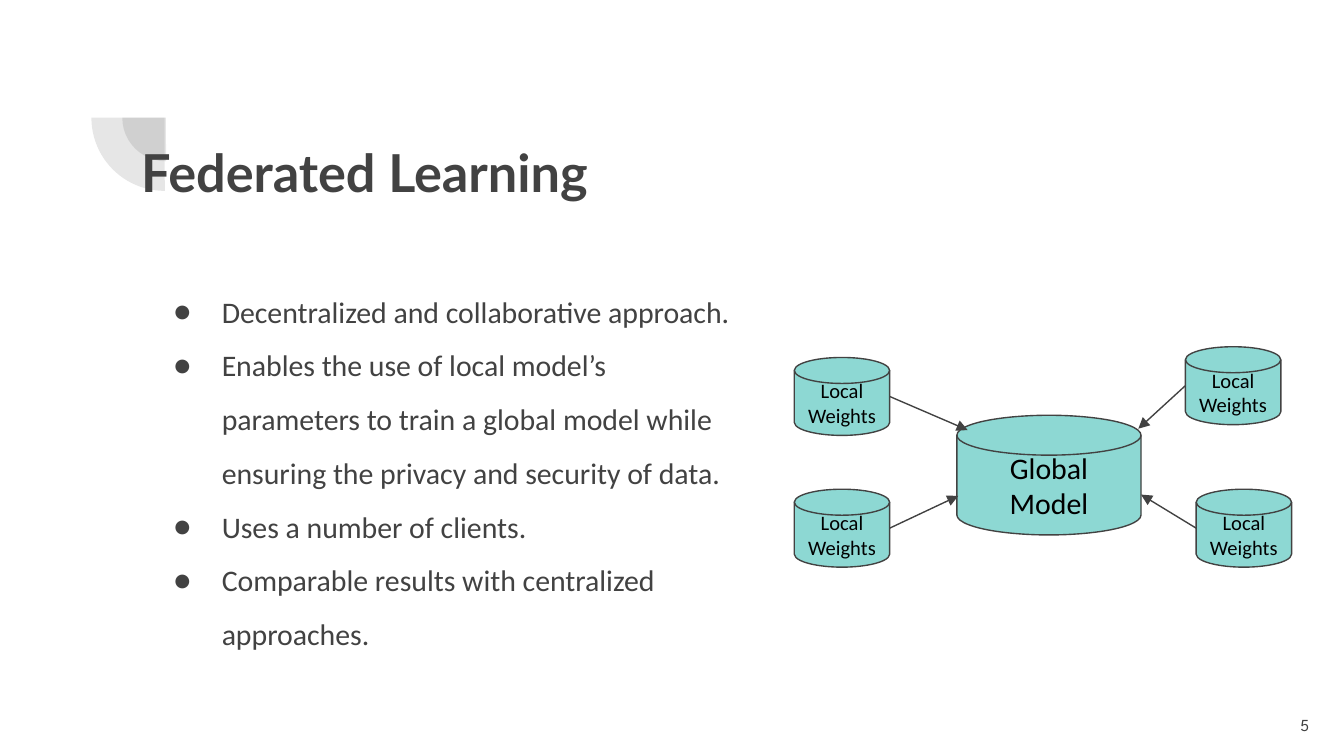
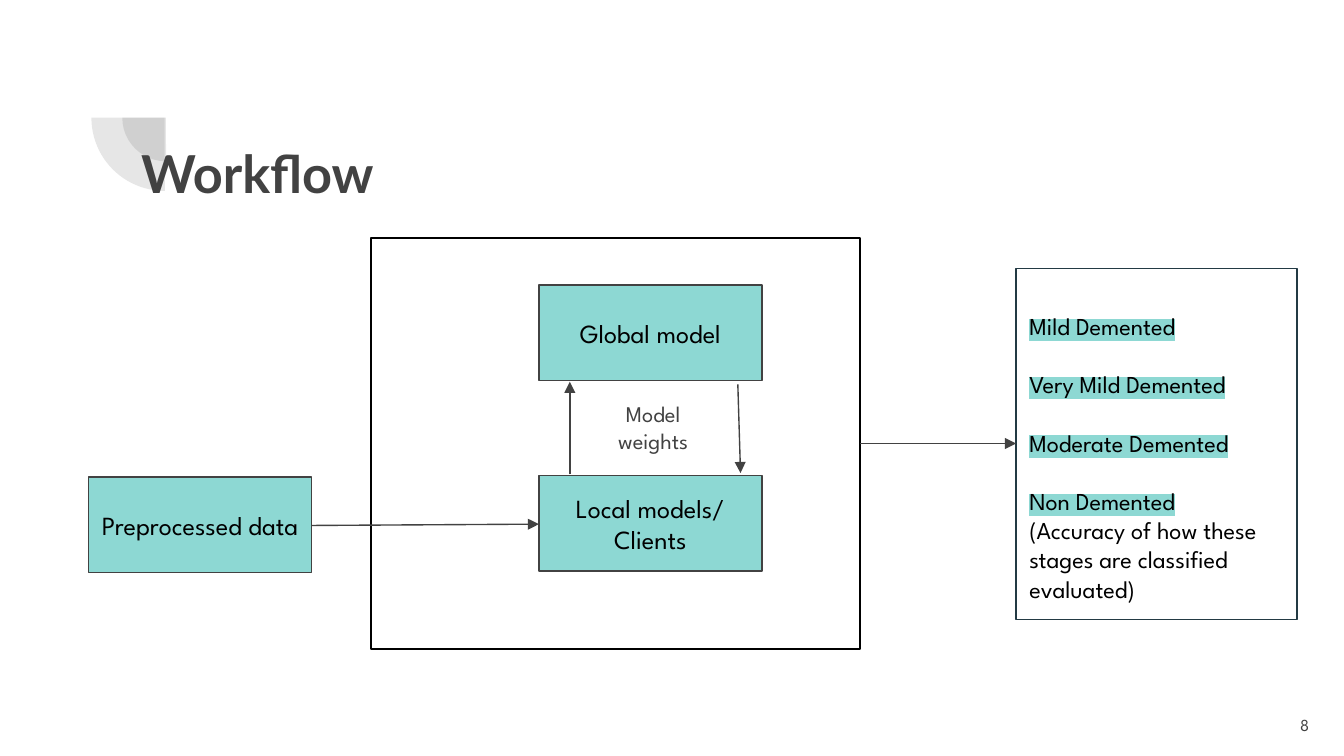
from dataclasses import dataclass

from lxml import etree
from pptx import Presentation
from pptx.dml import color as dml
from pptx.enum import shapes as kinds
from pptx.enum import text as text_enum
from pptx.oxml import ns
from pptx.util import Inches, Pt

# Shared look
INK = "424242"
TEAL = "8DD8D3"
BLACK = "000000"
WHITE = "FFFFFF"
NAVY = "233A44"
TITLE_FONT = "Lato"
BODY_FONT = "Calibri"
DIAGRAM_FONT = "League Spartan"
INSET = 0.1
LINE_WIDTH = 0.75

ALIGN = text_enum.PP_ALIGN
ANCHOR = text_enum.MSO_ANCHOR
SHAPE = kinds.MSO_SHAPE


@dataclass
class Area:
    left: float
    top: float
    width: float
    height: float

    def lengths(self) -> tuple:
        return tuple(Inches(v) for v in (self.left, self.top, self.width, self.height))


@dataclass
class TextStyle:
    font: str
    size: float
    color: str = BLACK
    bold: bool = False
    highlight: str = ""


@dataclass
class Node:
    area: Area
    label: str
    style: TextStyle
    kind: int = SHAPE.RECTANGLE


@dataclass
class Arrow:
    start: tuple[float, float]
    end: tuple[float, float]


TITLE_STYLE = TextStyle(TITLE_FONT, 28, INK, bold=True)
NUMBER_STYLE = TextStyle(DIAGRAM_FONT, 9, INK)
BULLET_STYLE = TextStyle(BODY_FONT, 16, INK)
GLOBAL_STYLE = TextStyle(BODY_FONT, 16)
LOCAL_STYLE = TextStyle(BODY_FONT, 11)
STEP_STYLE = TextStyle(DIAGRAM_FONT, 14)
WEIGHTS_STYLE = TextStyle(DIAGRAM_FONT, 12, INK)
STAGE_STYLE = TextStyle(DIAGRAM_FONT, 13, highlight=TEAL)
NOTE_STYLE = TextStyle(DIAGRAM_FONT, 13)


# Helpers
def rgb(value: str) -> dml.RGBColor:
    return dml.RGBColor.from_string(value)


def add_tag(parent, tag: str, **attributes: str):
    return etree.SubElement(parent, ns.qn(tag), attributes)


def prepare_frame(shape, anchor=ANCHOR.TOP):
    frame = shape.text_frame
    frame.word_wrap = True
    frame.auto_size = text_enum.MSO_AUTO_SIZE.NONE
    frame.vertical_anchor = anchor
    frame.margin_left = frame.margin_right = Inches(INSET)
    frame.margin_top = frame.margin_bottom = Inches(INSET)
    return frame


def write(paragraph, content: str, style: TextStyle, align=ALIGN.LEFT,
          spacing: float = 1.0) -> None:
    paragraph.alignment = align
    paragraph.line_spacing = spacing
    paragraph.space_before = Pt(0)
    run = paragraph.add_run()
    run.text = content
    run.font.name = style.font
    run.font.size = Pt(style.size)
    run.font.bold = style.bold
    run.font.color.rgb = rgb(style.color)
    if style.highlight:
        mark = etree.Element(ns.qn("a:highlight"))
        add_tag(mark, "a:srgbClr", val=style.highlight)
        # The highlight must follow the text fill
        run._r.rPr.find(ns.qn("a:solidFill")).addnext(mark)


def paragraphs_for(frame, count: int) -> list:
    return [frame.paragraphs[0]] + [frame.add_paragraph() for _ in range(count - 1)]


def place(shape, area: Area) -> None:
    shape.left, shape.top, shape.width, shape.height = area.lengths()


def add_box(slide, area: Area, fill: str = "", line: str = INK,
            kind=SHAPE.RECTANGLE):
    shape = slide.shapes.add_shape(kind, *area.lengths())
    shape.shadow.inherit = False
    if fill:
        shape.fill.solid()
        shape.fill.fore_color.rgb = rgb(fill)
    else:
        shape.fill.background()
    shape.line.color.rgb = rgb(line)
    shape.line.width = Pt(LINE_WIDTH)
    return shape


def add_node(slide, node: Node) -> None:
    shape = add_box(slide, node.area, TEAL, kind=node.kind)
    frame = prepare_frame(shape, ANCHOR.MIDDLE)
    write(frame.paragraphs[0], node.label, node.style, ALIGN.CENTER)


def add_label(slide, area: Area, content: str, style: TextStyle, align,
              anchor=ANCHOR.TOP) -> None:
    frame = prepare_frame(slide.shapes.add_textbox(*area.lengths()), anchor)
    write(frame.paragraphs[0], content, style, align)


def add_arrow(slide, arrow: Arrow) -> None:
    ends = [Inches(v) for v in (*arrow.start, *arrow.end)]
    connector = slide.shapes.add_connector(kinds.MSO_CONNECTOR.STRAIGHT, *ends)
    connector.line.color.rgb = rgb(INK)
    connector.line.width = Pt(LINE_WIDTH)
    properties = connector.element.spPr
    add_tag(properties.find(ns.qn("a:ln")), "a:tailEnd", type="triangle")
    add_tag(properties, "a:effectLst")


def add_titled_slide(presentation, layout_index: int, title: str,
                     title_area: Area, number: str):
    slide = presentation.slides.add_slide(presentation.slide_layouts[layout_index])
    place(slide.shapes.title, title_area)
    frame = prepare_frame(slide.shapes.title)
    write(frame.paragraphs[0], title, TITLE_STYLE)
    add_label(slide, Area(9.24, 5.18, 0.6, 0.43), number, NUMBER_STYLE,
              ALIGN.RIGHT, ANCHOR.MIDDLE)
    return slide


def add_master_arcs(presentation, slide) -> None:
    """Draw the two quarter discs and hand them to the slide master."""
    tree = presentation.slide_master.element.cSld.spTree
    arcs = (Area(0.91, 0.55, 0.65, 0.65), Area(0.68, 0.33, 1.09, 1.09))
    for identifier, area in enumerate(arcs, start=101):
        arc = add_box(slide, area, INK, kind=SHAPE.PIE)
        arc.line.fill.background()
        arc.rotation = 270
        arc.adjustments[0], arc.adjustments[1] = 107.93, 162
        tint = arc.element.spPr.find(".//" + ns.qn("a:srgbClr"))
        add_tag(tint, "a:alpha", val="13000")
        arc.element.nvSpPr.cNvPr.set("id", str(identifier))
        tree.append(arc.element)


# Slides
def build_federated_learning(presentation) -> None:
    slide = add_titled_slide(presentation, 1, "Federated Learning",
                             Area(0.95, 0.94, 7.69, 1.09), "5")
    add_master_arcs(presentation, slide)

    # Bulleted list
    points = (
        "Decentralized and collaborative approach.",
        "Enables the use of local model’s parameters to train a global model "
        "while ensuring the privacy and security of data.",
        "Uses a number of clients.",
        "Comparable results with centralized approaches.",
    )
    body = slide.placeholders[1]
    place(body, Area(1.05, 1.95, 4.54, 2.9))
    frame = prepare_frame(body)
    for paragraph, point in zip(paragraphs_for(frame, len(points)), points):
        write(paragraph, point, BULLET_STYLE, spacing=1.5)
        properties = paragraph._p.get_or_add_pPr()
        properties.set("marL", str(Inches(0.5)))
        properties.set("indent", str(Inches(-0.36)))
        add_tag(add_tag(properties, "a:buClr"), "a:srgbClr", val=INK)
        add_tag(properties, "a:buFont", typeface=BODY_FONT)
        add_tag(properties, "a:buChar", char="●")

    # Global model with its four clients
    disk = SHAPE.FLOWCHART_MAGNETIC_DISK
    add_node(slide, Node(Area(7.12, 3.09, 1.37, 0.89), "Global Model",
                         GLOBAL_STYLE, disk))
    clients = (
        (5.91, 2.66, True, (7.2, 3.2)),
        (5.91, 3.64, True, (7.13, 3.69)),
        (8.9, 3.64, False, (8.49, 3.68)),
        (8.82, 2.58, False, (8.47, 3.19)),
    )
    width, height = 0.71, 0.58
    for left, top, from_right, target in clients:
        add_node(slide, Node(Area(left, top, width, height), "Local Weights",
                             LOCAL_STYLE, disk))
        start = (left + width if from_right else left, top + height / 2)
        add_arrow(slide, Arrow(start, target))


def build_workflow(presentation) -> None:
    slide = add_titled_slide(presentation, 5, "Workflow",
                             Area(0.95, 0.95, 7.69, 0.78), "8")

    # Classified stages
    stages = ("Mild Demented", "Very Mild Demented", "Moderate Demented",
              "Non Demented")
    results = add_box(slide, Area(7.56, 2, 2.09, 2.61), line=NAVY)
    frame = prepare_frame(results)
    *stage_lines, note_line = paragraphs_for(frame, len(stages) + 1)
    for paragraph, stage in zip(stage_lines, stages):
        write(paragraph, stage, STAGE_STYLE, spacing=2.0)
    write(note_line, "(Accuracy of how these stages are classified evaluated)",
          NOTE_STYLE)

    # Training loop frame and steps
    add_box(slide, Area(2.76, 1.77, 3.64, 3.06), WHITE, BLACK)
    steps = (
        (0.66, 3.55, "Preprocessed data"),
        (4.01, 3.54, "Local models/ Clients"),
        (4.01, 2.12, "Global model"),
    )
    for left, top, label in steps:
        add_node(slide, Node(Area(left, top, 1.66, 0.71), label, STEP_STYLE))

    # Flow
    for arrow in (
        Arrow((2.32, 3.91), (4.01, 3.9)),
        Arrow((5.49, 2.86), (5.51, 3.52)),
        Arrow((4.24, 3.53), (4.24, 2.84)),
        Arrow((6.4, 3.3), (7.56, 3.3)),
    ):
        add_arrow(slide, arrow)
    add_label(slide, Area(4.28, 2.88, 1.16, 0.61), "Model weights",
              WEIGHTS_STYLE, ALIGN.CENTER)


def main() -> None:
    presentation = Presentation()
    # Widescreen, 16 to 9
    presentation.slide_width = Inches(10)
    presentation.slide_height = Inches(10) * 9 // 16
    build_federated_learning(presentation)
    build_workflow(presentation)
    presentation.save("out.pptx")


if __name__ == "__main__":
    main()
